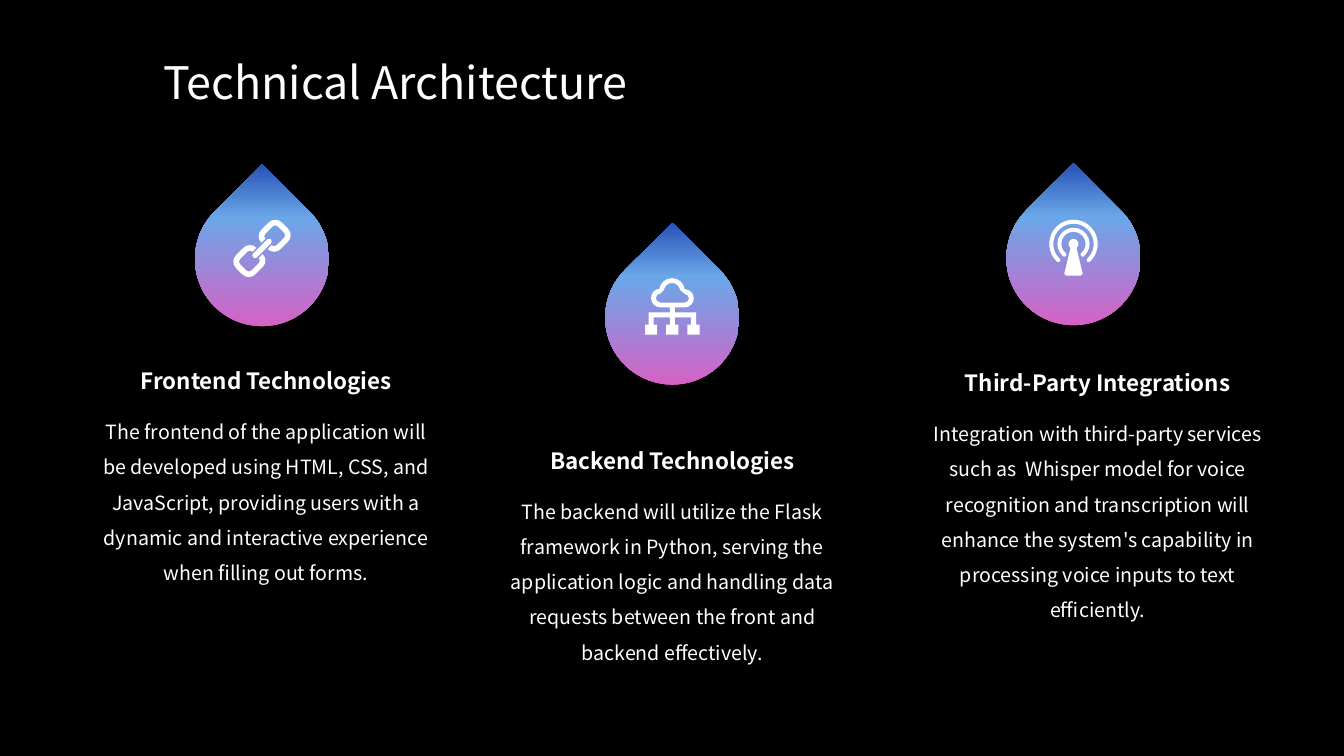
from copy import deepcopy
from dataclasses import dataclass
from math import ceil, cos, radians, sin, sqrt, tan
from typing import Callable

from pptx import Presentation
from pptx.dml.color import RGBColor
from pptx.enum.text import MSO_ANCHOR as Anchor, MSO_AUTO_SIZE as AutoSize, PP_ALIGN as Align
from pptx.oxml.ns import qn
from pptx.util import Inches, Pt

CELL = Inches(0.1)
COLUMNS, ROWS = 133.33, 75
FONT = "Noto Sans CJK SC"
WHITE, BLACK = "FFFFFF", "000000"
DROP_STOPS = [(0, "DC5DC2"), (0.68, "6BA7E8"), (1, "2851B6")]
DROP_RADIUS = 6.65


def cells(count):
    """Turn a number of grid cells into a length."""
    return round(count * CELL)


def color(value):
    """Turn a hex string into a colour."""
    return RGBColor.from_string(value)


def arc(x, y, radius, start, end):
    """List a start point and Bezier curves, with angles in degrees clockwise from the right."""
    count = ceil(abs(end - start) / 90)
    step = radians(end - start) / count
    reach = 4 / 3 * tan(step / 4)

    def at(angle, pull=0):
        return (x + radius * (cos(angle) - pull * sin(angle)),
                y + radius * (sin(angle) + pull * cos(angle)))

    angles = [radians(start) + step * index for index in range(count + 1)]
    return [[at(angles[0])]] + [[at(first, reach), at(last, -reach), at(last)]
                                for first, last in zip(angles, angles[1:])]


def box_outline(left, top, width, height):
    """List the corners of a box."""
    right, bottom = left + width, top + height
    return [[(left, top)], [(right, top)], [(right, bottom)], [(left, bottom)]]


def transform(contour, change):
    """Apply a change to every point of a contour."""
    return [[change(x, y) for x, y in segment] for segment in contour]


def chain_icon():
    """Outline two open chain links joined by a bar, along the rising diagonal."""
    corners = [(-1.25, 0.45, 0), (-2.3, 0.45, 90), (-2.3, -0.45, 180), (-1.25, -0.45, 270)]
    link = []
    for x, y, angle in corners:
        link += arc(x, y, 0.9, angle, angle + 90)
    for x, y, angle in reversed(corners):
        link += arc(x, y, 0.35, angle + 90, angle)
    bar = arc(0.98, 0, 0.27, -90, 90) + arc(-0.98, 0, 0.27, 90, 270)
    contours = [link, transform(link, lambda u, v: (-u, v)), bar]
    return [transform(contour, lambda u, v: ((u + v) / sqrt(2), (v - u) / sqrt(2) - 1.05))
            for contour in contours]


def cloud_icon():
    """Outline a cloud wired to three boxes."""
    def cloud(inset):
        return (arc(1.23, -1.9, 0.9 - inset, 90, -85)
                + arc(-0.03, -2.62, 1.28 - inset, -8, -172)
                + arc(-1.18, -1.93, 0.93 - inset, -90, -270))

    contours = [cloud(0), cloud(0.48), box_outline(-0.25, -1, 0.5, 0.5),
                box_outline(-2.35, -0.5, 4.7, 0.5)]
    for x in (-2.1, 0, 2.1):
        contours += [box_outline(x - 0.25, 0, 0.5, 0.7), box_outline(x - 0.6, 0.7, 1.2, 1)]
    return contours


def antenna_icon():
    """Outline a mast inside two broadcasting arcs."""
    def wave(radius, start, end):
        middle = radius - 0.2

        def cap(angle, turn):
            x, y = middle * cos(radians(angle)), middle * sin(radians(angle))
            return arc(x, y, 0.2, angle + turn, angle + turn + 180)

        return (arc(0, 0, radius, start, end) + cap(end, 0)
                + arc(0, 0, radius - 0.4, end, start) + cap(start, 180))

    mast = (arc(0, 0, 0.5, 127, 413) + arc(0.73, 2.97, 0.18, 0, 90)
            + arc(-0.73, 2.97, 0.18, 90, 180))
    contours = [mast, wave(1.6, 130, 410), wave(2.4, 133, 407)]
    return [transform(contour, lambda x, y: (x, y - 1.4)) for contour in contours]


def add_outline(slide, x, y, contours):
    """Draw contours around a centre as one shape without a line."""
    placed = [transform(contour, lambda dx, dy: (cells(x + dx), cells(y + dy)))
              for contour in contours]
    builder = slide.shapes.build_freeform(*placed[0][0][0])
    for index, (start, *segments) in enumerate(placed):
        if index:
            builder.move_to(*start[0])
        builder.add_line_segments([point for segment in segments for point in segment], close=True)
    shape = builder.convert_to_shape()
    outline = shape._element.spPr.find(".//" + qn("a:path"))
    nodes = iter(outline.findall(qn("a:lnTo")))
    for segment in [segment for contour in placed for segment in contour[1:]]:
        first, *others = [next(nodes) for _ in segment]
        for other in others:
            first.append(other[0])
            outline.remove(other)
        if others:
            first.tag = qn("a:cubicBezTo")
    shape.shadow.inherit = False
    shape.line.fill.background()
    return shape


def add_badge(slide, x, y, icon):
    """Draw a gradient drop around a centre with a white icon on it."""
    outline = [[(0, -DROP_RADIUS * sqrt(2))]] + arc(0, 0, DROP_RADIUS, -45, 225)
    drop = add_outline(slide, x, y, [outline])
    drop.fill.gradient()
    drop.fill.gradient_angle = 90
    stop_list = drop._element.spPr.find(".//" + qn("a:gsLst"))
    stop_list.append(deepcopy(stop_list[0]))
    for stop, (position, value) in zip(drop.fill.gradient_stops, DROP_STOPS):
        stop.position = position
        stop.color.rgb = color(value)
    symbol = add_outline(slide, x, y, icon())
    symbol.fill.solid()
    symbol.fill.fore_color.rgb = color(WHITE)


def add_text(slide, box, text, size, bold=False, align=Align.LEFT, anchor=Anchor.TOP, spacing=1.0):
    """Place one white paragraph in a box of grid cells."""
    frame = slide.shapes.add_textbox(*map(cells, box)).text_frame
    frame.word_wrap = True
    frame.auto_size = AutoSize.SHAPE_TO_FIT_TEXT
    frame.vertical_anchor = anchor
    paragraph = frame.paragraphs[0]
    paragraph.alignment = align
    paragraph.line_spacing = spacing
    run = paragraph.add_run()
    run.text = text
    run.font.name = FONT
    run.font.size = Pt(size)
    run.font.bold = bold
    run.font.color.rgb = color(WHITE)


@dataclass
class Technology:
    """Hold the wording and place of one technology."""
    heading: str
    body: str
    icon: Callable
    box: tuple
    badge: tuple


TECHNOLOGIES = [
    Technology("Frontend Technologies",
               "The frontend of the application will be developed using HTML, CSS, and JavaScript, "
               "providing users with a dynamic and interactive experience when filling out forms.",
               chain_icon, (8.5, 35.9, 35.8, 25.9), (17.5, -10.2)),
    Technology("Backend Technologies",
               "The backend will utilize the Flask framework in Python, serving the application logic "
               "and handling data requests between the front and backend effectively.",
               cloud_icon, (48.8, 43.8, 35.8, 25.9), (17.9, -12.3)),
    Technology("Third-Party Integrations",
               "Integration with third-party services such as  Whisper model for voice recognition and "
               "transcription will enhance the system's capability in processing voice inputs to text "
               "efficiently.",
               antenna_icon, (91, 36.1, 35.8, 22.4), (15.5, -10.5)),
]


def add_technology(slide, technology):
    """Place a badge, a heading and a body relative to the technology's box."""
    left, top, width, height = technology.box
    badge_x, badge_y = technology.badge
    add_badge(slide, left + badge_x, top + badge_y, technology.icon)
    add_text(slide, (left, top, width, 3.7), technology.heading, 16, True, Align.CENTER, Anchor.BOTTOM)
    add_text(slide, (left, top + 4.1, width, height - 4.1), technology.body, 14,
             align=Align.CENTER, spacing=1.5)


def main():
    """Build and save the slide."""
    presentation = Presentation()
    presentation.slide_width, presentation.slide_height = cells(COLUMNS), cells(ROWS)
    slide = presentation.slides.add_slide(presentation.slide_layouts[6])
    slide.background.fill.solid()
    slide.background.fill.fore_color.rgb = color(BLACK)
    add_text(slide, (15.2, 4.9, 77.9, 6.4), "Technical Architecture", 32)
    for technology in TECHNOLOGIES:
        add_technology(slide, technology)
    presentation.save("out.pptx")


if __name__ == "__main__":
    main()
